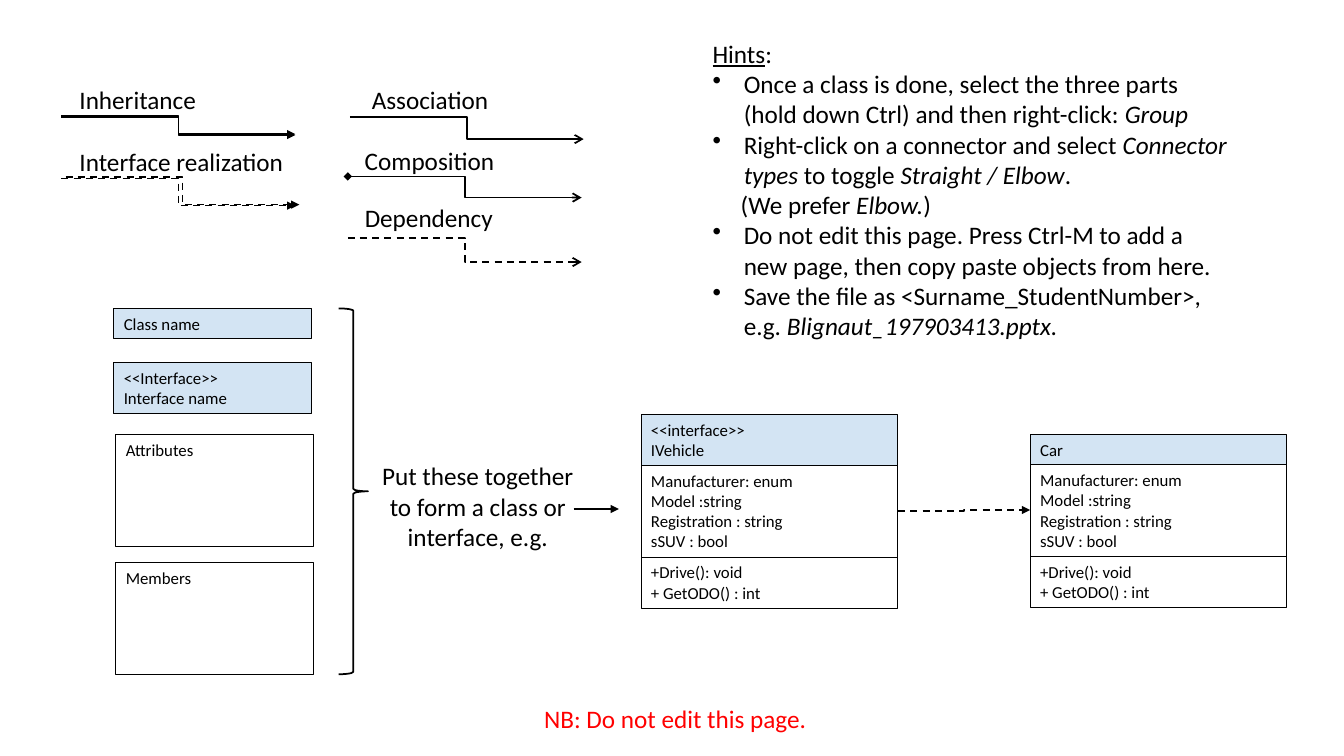
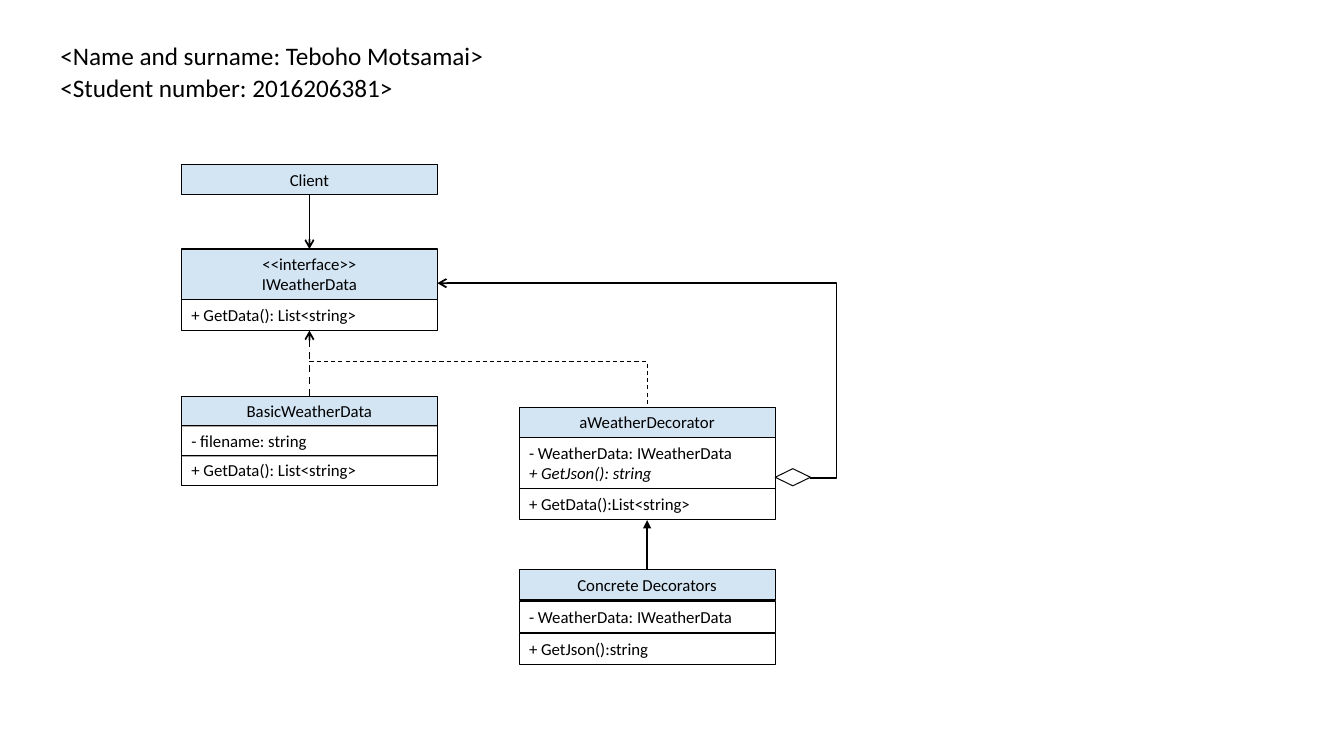
import dataclasses

import lxml.etree
import pptx
import pptx.dml.color
import pptx.enum.dml
import pptx.enum.shapes
import pptx.enum.text
import pptx.oxml.ns
import pptx.util

BLACK = pptx.dml.color.RGBColor(0x00, 0x00, 0x00)
NEAR_BLACK = pptx.dml.color.RGBColor(0x0D, 0x0D, 0x0D)
WHITE = pptx.dml.color.RGBColor(0xFF, 0xFF, 0xFF)
PALE_BLUE = pptx.dml.color.RGBColor(0xBD, 0xD7, 0xEE)
RED = pptx.dml.color.RGBColor(0xFF, 0x00, 0x00)

SHAPE = pptx.enum.shapes.MSO_SHAPE
LEFT = pptx.enum.text.PP_ALIGN.LEFT
CENTER = pptx.enum.text.PP_ALIGN.CENTER

# The grid has ten columns and ten rows to the inch.
COLUMNS, ROWS = 133.33, 75
CLASS_WIDTH = 25.4
LABEL_HEIGHT = 4


def grid(units):
    """Turn grid columns or rows into a length."""
    return pptx.util.Inches(units / 10)


def rows_for(line_count):
    """Give the rows that a compartment with this many lines takes."""
    return 1 + 2.03 * line_count


def add_element(parent, tag, **attributes):
    """Append a DrawingML element with the given attributes."""
    return lxml.etree.SubElement(parent, pptx.oxml.ns.qn(tag), **attributes)


@dataclasses.dataclass
class Line:
    """A paragraph; words between asterisks get the emphasis."""

    text: str
    bullet: bool = False
    indent: float = 0
    emphasis: str = "italic"


class DiagramPage:
    """Holds the diagram style and the current slide."""

    font_name = "Calibri"
    label_size = pptx.util.Pt(18)
    class_size = pptx.util.Pt(12)
    thin = pptx.util.Pt(0.75)
    thick = pptx.util.Pt(1.25)
    opacity = "66000"

    def __init__(self, presentation):
        """Start a blank slide."""
        self.slide = presentation.slides.add_slide(presentation.slide_layouts[6])

    def fill_text(self, frame, lines, size, color=BLACK, alignment=LEFT):
        """Fill a text frame with strings or Line objects."""
        for index, line in enumerate(lines):
            if isinstance(line, str):
                line = Line(line)
            paragraph = frame.paragraphs[0] if index == 0 else frame.add_paragraph()
            paragraph.alignment = alignment
            properties = paragraph._p.get_or_add_pPr()
            if line.indent:
                properties.set("marL", str(grid(line.indent)))
            if line.bullet:
                properties.set("indent", str(-grid(line.indent)))
                add_element(properties, "a:buChar", char="•")
            paragraph.font.name = self.font_name
            paragraph.font.size = size
            paragraph.font.color.rgb = color
            for part, text in enumerate(line.text.split("*")):
                if text:
                    run = paragraph.add_run()
                    run.text = text
                    if part % 2 and line.emphasis == "underline":
                        run.font.underline = True
                    elif part % 2:
                        run.font.italic = True

    def label(self, left, top, width, *lines, height=LABEL_HEIGHT, wrap=False,
              color=BLACK, alignment=LEFT):
        """Add free text."""
        box = self.slide.shapes.add_textbox(*map(grid, (left, top, width, height)))
        box.text_frame.word_wrap = wrap
        box.text_frame.auto_size = pptx.enum.text.MSO_AUTO_SIZE.SHAPE_TO_FIT_TEXT
        self.fill_text(box.text_frame, lines, self.label_size, color, alignment)

    def shape(self, kind, left, top, width, height, fill=None, color=BLACK, weight=thin):
        """Add a preset shape without a shadow."""
        shape = self.slide.shapes.add_shape(kind, *map(grid, (left, top, width, height)))
        shape.shadow.inherit = False
        shape.line.color.rgb = color
        shape.line.width = weight
        if fill is None:
            shape.fill.background()
        else:
            shape.fill.solid()
            shape.fill.fore_color.rgb = fill
        return shape

    def compartment(self, left, top, width, height, lines, fill=WHITE, alignment=LEFT):
        """Add one translucent part of a class."""
        box = self.shape(SHAPE.RECTANGLE, left, top, width, height, fill)
        solid = box.element.spPr.find(pptx.oxml.ns.qn("a:solidFill"))
        add_element(solid[0], "a:alpha", val=self.opacity)
        frame = box.text_frame
        frame.word_wrap = True
        frame.vertical_anchor = pptx.enum.text.MSO_ANCHOR.TOP
        self.fill_text(frame, lines, self.class_size, alignment=alignment)

    def class_box(self, left, top, title, *parts, alignment=CENTER, gap=0):
        """Stack a title and its compartments."""
        for index, lines in enumerate((title, *parts)):
            height = rows_for(len(lines))
            style = {} if index else {"fill": PALE_BLUE, "alignment": alignment}
            self.compartment(left, top, CLASS_WIDTH, height, lines, **style)
            top += height + gap

    def connector(self, start, end, head=None, tail=None, dashed=False, bend=None,
                  corner=False, weight=thick):
        """Add a straight line, an elbow bent at a share, or a single corner."""
        kinds = pptx.enum.shapes.MSO_CONNECTOR
        kind = kinds.STRAIGHT if bend is None and not corner else kinds.ELBOW
        line = self.slide.shapes.add_connector(kind, *map(grid, (*start, *end)))
        line.line.color.rgb = BLACK
        line.line.width = weight
        if dashed:
            line.line.dash_style = pptx.enum.dml.MSO_LINE.DASH
        properties = line.element.spPr
        geometry = properties.find(pptx.oxml.ns.qn("a:prstGeom"))
        if corner:
            geometry.set("prst", "bentConnector2")
        elif bend is not None:
            add_element(geometry[0], "a:gd", name="adj1", fmla=f"val {round(bend * 100000)}")
        outline = properties.find(pptx.oxml.ns.qn("a:ln"))
        for tag, end_type in (("a:headEnd", head), ("a:tailEnd", tail)):
            if end_type:
                add_element(outline, tag, type=end_type)
        add_element(properties, "a:effectLst")

    def legend_line(self, left, top, drop, **style):
        """Add a sample elbow connector of the legend."""
        self.connector((left, top), (left + 23.2, top + drop), bend=0.5, **style)


def build_toolkit(presentation):
    """Build the page of parts, hints and the example."""
    page = DiagramPage(presentation)
    for left, top, width, text in (
        (6.9, 7.9, 13.7, "Inheritance"),
        (6.9, 14, 22.5, "Interface realization"),
        (35.9, 7.9, 13.7, "Association"),
        (35.2, 13.9, 15.6, "Composition"),
        (35.2, 19.6, 14.9, "Dependency"),
    ):
        page.label(left, top, width, text)
    for top in (11.5, 11.6):
        page.legend_line(6.1, top, 1.8, tail="triangle")
    for left, top in ((6.5, 17.6), (6.1, 17.7)):
        page.legend_line(left, top, 2.7, tail="triangle", dashed=True)
    page.legend_line(34.7, 11.6, 2.2, tail="arrow")
    page.legend_line(34.5, 17.5, 2.1, head="diamond", tail="arrow")
    page.legend_line(34.5, 23.6, 2.4, tail="arrow", dashed=True)

    part_width = 19.6
    for top, lines in ((30.6, ["Class name"]), (36, ["<<Interface>>", "Interface name"])):
        page.compartment(11.3, top, part_width, rows_for(len(lines)), lines, PALE_BLUE)
    for top, text in ((43.1, "Attributes"), (55.8, "Members")):
        page.compartment(11.5, top, part_width, 11.1, [text])
    page.shape(SHAPE.RIGHT_BRACE, 33.6, 30.6, 2.9, 36.3, weight=page.thick)
    page.label(36.8, 45.2, 21.2, "Put these together", "to form a class or",
               "interface, e.g.", height=10.1, alignment=CENTER)
    page.connector((56.9, 50.5), (61.4, 50.5), tail="triangle")

    attributes = ["Manufacturer: enum", "Model :string", "Registration : string",
                  "sSUV : bool"]
    members = ["+Drive(): void", "+ GetODO() : int"]
    for left, top, title in ((102.2, 43.1, ["Car"]), (63.6, 41.1, ["<<interface>>", "IVehicle"])):
        page.class_box(left, top, title, attributes, members, alignment=LEFT)
    page.connector((89.1, 50.7), (102.2, 50.6), tail="triangle", dashed=True, bend=0.5)

    page.label(
        69.7, 3.3, 53.1,
        Line("*Hints*:", emphasis="underline"),
        Line("Once a class is done, select the three parts (hold down Ctrl) and then "
             "right-click: *Group*", bullet=True, indent=3.1),
        Line("Right-click on a connector and select *Connector types *to toggle "
             "*Straight / Elbow*.", bullet=True, indent=3.1),
        Line("(We prefer *Elbow.*)", indent=2.8),
        Line("Do not edit this page. Press Ctrl-M to add a new page, then copy paste "
             "objects from here.", bullet=True, indent=3.1),
        Line("Save the file as <Surname_StudentNumber>, e.g. *Blignaut_197903413.pptx.*",
             bullet=True, indent=3.1),
        height=31.3, wrap=True)
    page.label(53, 69.3, 28.3, "NB: Do not edit this page.", color=RED)


def build_decorator_diagram(presentation):
    """Build the class diagram of the weather decorators."""
    page = DiagramPage(presentation)
    page.label(5, 3.5, 44.5, "<Name and surname: Teboho Motsamai>")
    page.label(5, 6.7, 35.4, "<Student number: 2016206381>")

    left, right = 18, 51.5
    left_middle, right_middle = left + CLASS_WIDTH / 2, right + CLASS_WIDTH / 2
    get_data = ["+ GetData(): List<string>"]
    weather_data = "- WeatherData: IWeatherData"
    page.class_box(left, 16.3, ["Client"])
    page.class_box(left, 24.7, ["<<interface>>", "IWeatherData"], get_data)
    page.class_box(left, 39.3, ["BasicWeatherData"], ["- filename: string"], get_data, gap=-0.1)
    page.class_box(right, 40.4, ["aWeatherDecorator"], [weather_data, "*+ GetJson(): string*"],
                   ["+ GetData():List<string>"])
    page.class_box(right, 56.5, ["Concrete Decorators"], [weather_data],
                   ["+ GetJson():string"], gap=0.15)

    page.connector((left_middle, 19.3), (left_middle, 24.7), tail="arrow")
    page.connector((left_middle, 39.3), (left_middle, 32.8), tail="arrow", dashed=True)
    page.connector((right_middle, 56.5), (right_middle, 51.6), tail="triangle")
    page.connector((left_middle, 35.9), (right_middle, 40.4), dashed=True, corner=True,
                   weight=page.thin)
    page.connector((80.4, 47.4), (left + CLASS_WIDTH, 28.1), tail="arrow", bend=-0.07)
    page.shape(SHAPE.DIAMOND, right + CLASS_WIDTH, 46.5, 3.5, 1.7, WHITE, NEAR_BLACK)


presentation = pptx.Presentation()
presentation.slide_width = grid(COLUMNS)
presentation.slide_height = grid(ROWS)
build_toolkit(presentation)
build_decorator_diagram(presentation)
presentation.save("out.pptx")
